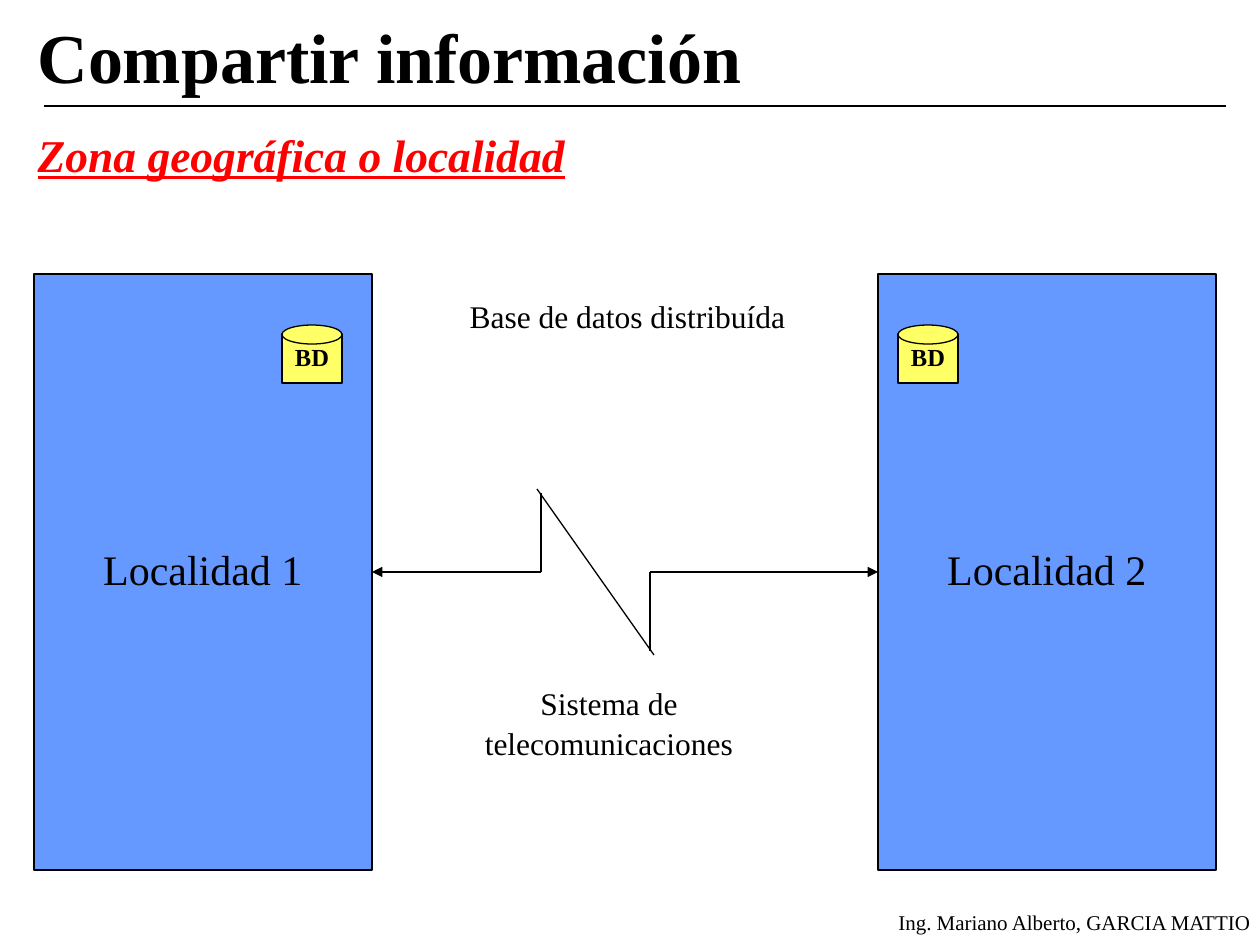
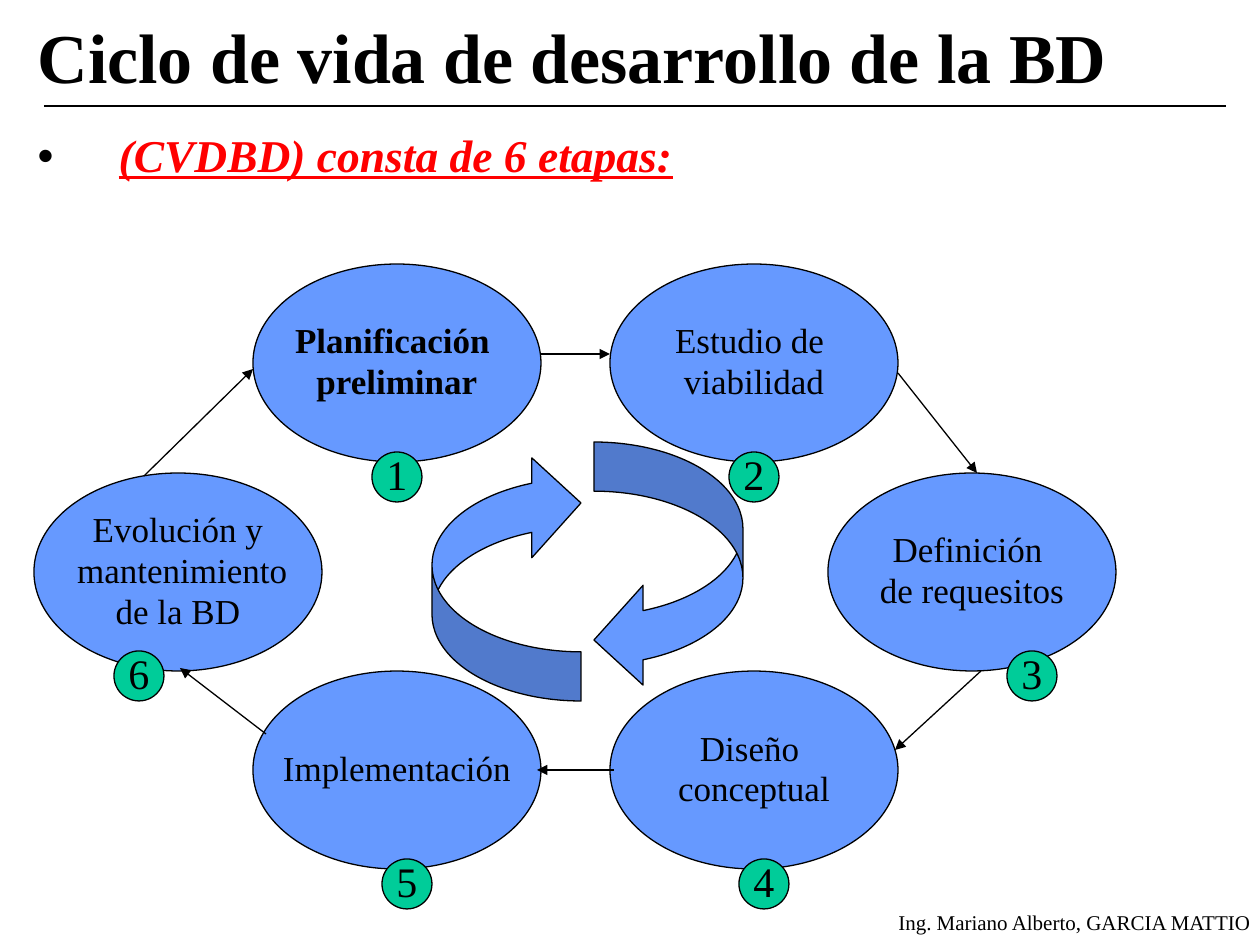
from lxml import etree
from pptx import Presentation
from pptx.dml.color import RGBColor
from pptx.enum.shapes import MSO_CONNECTOR, MSO_SHAPE
from pptx.enum.text import MSO_ANCHOR, MSO_AUTO_SIZE, PP_ALIGN
from pptx.oxml.ns import qn
from pptx.util import Pt

BLACK = RGBColor(0x00, 0x00, 0x00)
RED = RGBColor(0xFF, 0x00, 0x00)
BLUE = RGBColor(0x66, 0x99, 0xFF)
YELLOW = RGBColor(0xFF, 0xFF, 0x66)
GREEN = RGBColor(0x00, 0xCC, 0x99)
FONT = "Times New Roman"
THIN = Pt(0.75)
AUTHOR = "Ing. Mariano Alberto, GARCIA MATTIO"

# Stage: lines of text, place in the cycle, offset of its number
STAGES = [
    (["Planificación ", "preliminar"], (219, 0), (119, 188)),
    (["Estudio de ", "viabilidad"], (576, 0), (119, 188)),
    (["Definición ", "de requesitos"], (794, 209), (179, 178)),
    (["Diseño ", "conceptual"], (576, 407), (129, 188)),
    (["Implementación"], (219, 407), (129, 188)),
    (["Evolución y", " mantenimiento", "de la BD"], (0, 209), (80, 178)),
]
STEPS = [
    (506, 90, 576, 90), (864, 109, 943, 209), (947, 407, 861, 486),
    (580, 506, 503, 506), (232, 470, 146, 404), (110, 212, 219, 105),
]


def px(n):
    return round(n * 914400 / 126)


def style(par, size, color=BLACK, bold=False):
    par.font.name = FONT
    par.font.size = Pt(size)
    par.font.color.rgb = color
    par.font.bold = bold


def write(shape, lines, size, bold=False, align=PP_ALIGN.CENTER,
          anchor=MSO_ANCHOR.MIDDLE, tight=0.92, loose=0.98):
    """tight spaces the first line, loose the others."""
    frame = shape.text_frame
    frame.word_wrap = False
    frame.vertical_anchor = anchor
    frame.text = "\n".join(lines)
    for i, par in enumerate(frame.paragraphs):
        style(par, size, bold=bold)
        par.alignment = align
        par.line_spacing = loose if i else tight


def draw(slide, kind, box, fill):
    shape = slide.shapes.add_shape(kind, *map(px, box))
    shape.shadow.inherit = False
    shape.fill.solid()
    shape.fill.fore_color.rgb = fill
    shape.line.color.rgb = BLACK
    shape.line.width = THIN
    return shape


def label(slide, box, lines, size, **look):
    text = slide.shapes.add_textbox(*map(px, box))
    write(text, lines, size, anchor=MSO_ANCHOR.TOP, **look)


def link(slide, x1, y1, x2, y2, tip=None):
    """tip is headEnd (at the start) or tailEnd (at the end)."""
    line = slide.shapes.add_connector(
        MSO_CONNECTOR.STRAIGHT, px(x1), px(y1), px(x2), px(y2))
    line.line.color.rgb = BLACK
    line.line.width = THIN
    props = line.element.spPr
    if tip:
        etree.SubElement(props.find(qn("a:ln")), qn("a:" + tip), type="triangle")
    etree.SubElement(props, qn("a:effectLst"))
    return line


def place(shape, box):
    shape.left, shape.top, shape.width, shape.height = map(px, box)
    shape.text_frame.auto_size = MSO_AUTO_SIZE.NONE


def frame(deck, title, lead, indent, bullet=None):
    """Slide with title, rule, red lead line and footer."""
    slide = deck.slides.add_slide(deck.slide_layouts[1])
    label(slide, (881, 908, 382, 34), [AUTHOR], 12,
          align=PP_ALIGN.RIGHT, tight=0.83)

    # Title
    head = slide.shapes.title
    place(head, (25, 12, 1201, 96))
    head.text_frame.text = title
    head.text_frame.vertical_anchor = MSO_ANCHOR.MIDDLE
    par = head.text_frame.paragraphs[0]
    style(par, 40, bold=True)
    par.alignment = PP_ALIGN.LEFT
    par.line_spacing = 0.92
    link(slide, 44, 106, 1226, 106)

    # Lead line
    body = slide.placeholders[1]
    place(body, (25, 125, 1211, 764))
    body.text_frame.text = lead
    par = body.text_frame.paragraphs[0]
    style(par, 26, RED, True)
    par.font.italic = par.font.underline = True
    par.line_spacing = 0.94
    par.space_before = Pt(8)
    props = par._p.get_or_add_pPr()
    props.set("marL", str(px(indent)))
    props.set("indent", str(-px(indent)))
    if bullet:
        tint = etree.SubElement(props, qn("a:buClr"))
        etree.SubElement(tint, qn("a:srgbClr"), val=str(BLACK))
        etree.SubElement(props, qn("a:buChar"), char=bullet)
    else:
        etree.SubElement(props, qn("a:buNone"))
    return slide


def store(slide, x, y, w, h):
    """Database drum: a body with a lid."""
    lid = 19
    drum = draw(slide, MSO_SHAPE.RECTANGLE, (x, y + lid // 2, w, h - lid // 2), YELLOW)
    write(drum, ["BD"], 14, bold=True, tight=0.89)
    draw(slide, MSO_SHAPE.OVAL, (x, y, w, lid), YELLOW)


def town(slide, box, name, inset):
    x, y = box[:2]
    room = draw(slide, MSO_SHAPE.RECTANGLE, box, BLUE)
    write(room, [name], 24, tight=0.9)
    store(slide, x + inset, y + 51, 60, 58)
    return room


def signal(slide, box, left, right):
    """Lightning link that joins the two towns."""
    x, y, w, h = box
    mid = y + h // 2
    start = link(slide, x, mid, x + 169, mid, "headEnd")
    start.begin_connect(left, 3)
    link(slide, x + 169, y + 4, x + 169, mid)
    link(slide, x + 165, y, x + 282, y + h)
    link(slide, x + 278, mid, x + 278, y + h - 4)
    end = link(slide, x + 278, mid, x + w, mid, "tailEnd")
    end.end_connect(right, 1)


def share(deck):
    slide = frame(deck, "Compartir información", "Zona geográfica o localidad", 47)
    left = town(slide, (34, 274, 338, 596), "Localidad 1", 248)
    right = town(slide, (878, 274, 338, 596), "Localidad 2", 20)
    signal(slide, (372, 489, 506, 166), left, right)
    label(slide, (447, 295, 361, 48), ["Base de datos distribuída"], 18)
    label(slide, (449, 682, 320, 87), ["Sistema de", "telecomunicaciones"], 18,
          loose=1.02)


def turn(slide, x, y, angle):
    """Curved arrow in the middle of the cycle."""
    arrow = draw(slide, MSO_SHAPE.CURVED_LEFT_ARROW, (x, y, 149, 248), BLUE)
    for i, part in enumerate((0.33, 0.67, 0.33)):
        arrow.adjustments[i] = part
    arrow.rotation = angle


def cycle(slide, x, y):
    # Stages
    for i, (lines, (dx, dy), _) in enumerate(STAGES):
        oval = draw(slide, MSO_SHAPE.OVAL, (x + dx, y + dy, 288, 198), BLUE)
        write(oval, lines, 20, bold=i == 0)
    # Steps between stages
    for x1, y1, x2, y2 in STEPS:
        link(slide, x + x1, y + y1, x + x2, y + y2, "tailEnd")
    # Numbers
    for i, (_, (dx, dy), (nx, ny)) in enumerate(STAGES, 1):
        dot = draw(slide, MSO_SHAPE.OVAL, (x + dx + nx, y + dy + ny, 50, 50), GREEN)
        write(dot, [str(i)], 24, tight=0.9)
    # Turning arrows
    turn(slide, x + 560, y + 178, 0)
    turn(slide, x + 398, y + 189, 180)


def life(deck):
    slide = frame(deck, "Ciclo de vida de desarrollo de la BD",
                  "(CVDBD) consta de 6 etapas:", 81, "•")
    cycle(slide, 34, 264)


def main():
    deck = Presentation()
    deck.slide_width, deck.slide_height = px(1260), px(945)
    share(deck)
    life(deck)
    deck.save("out.pptx")


if __name__ == "__main__":
    main()
